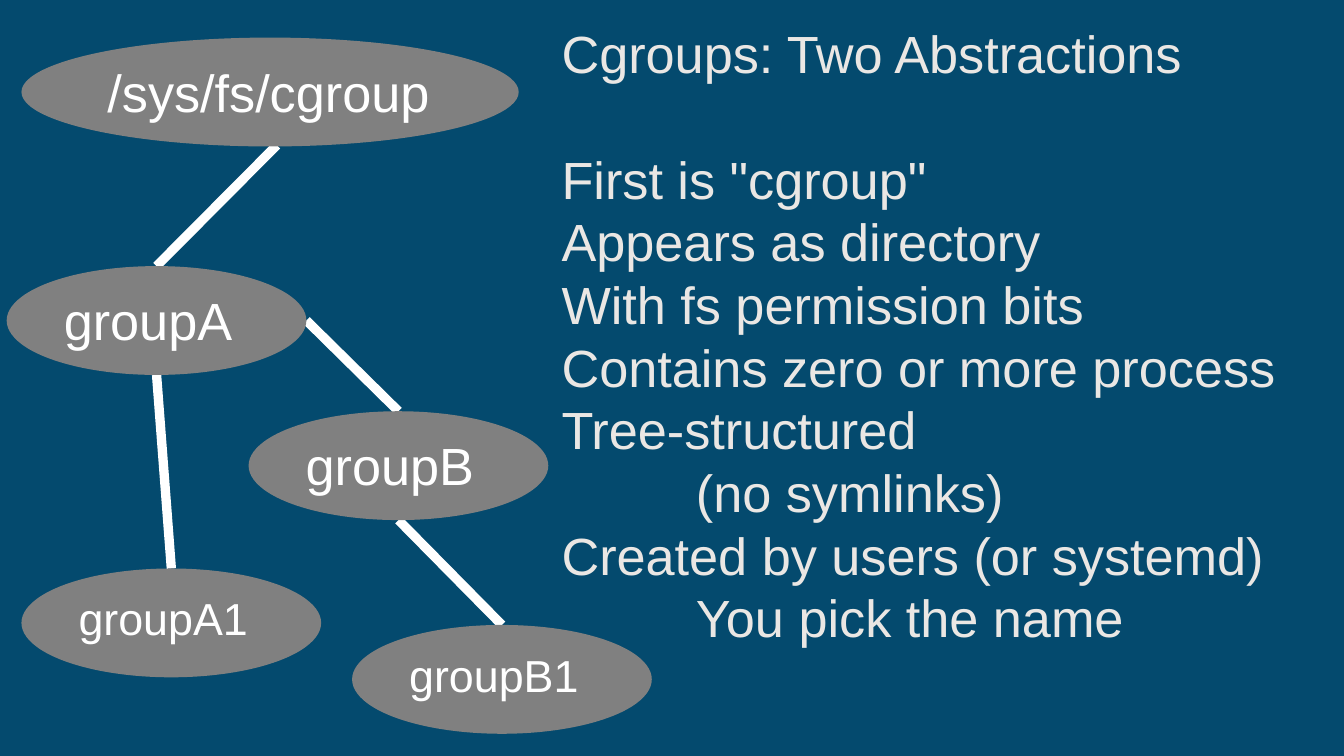
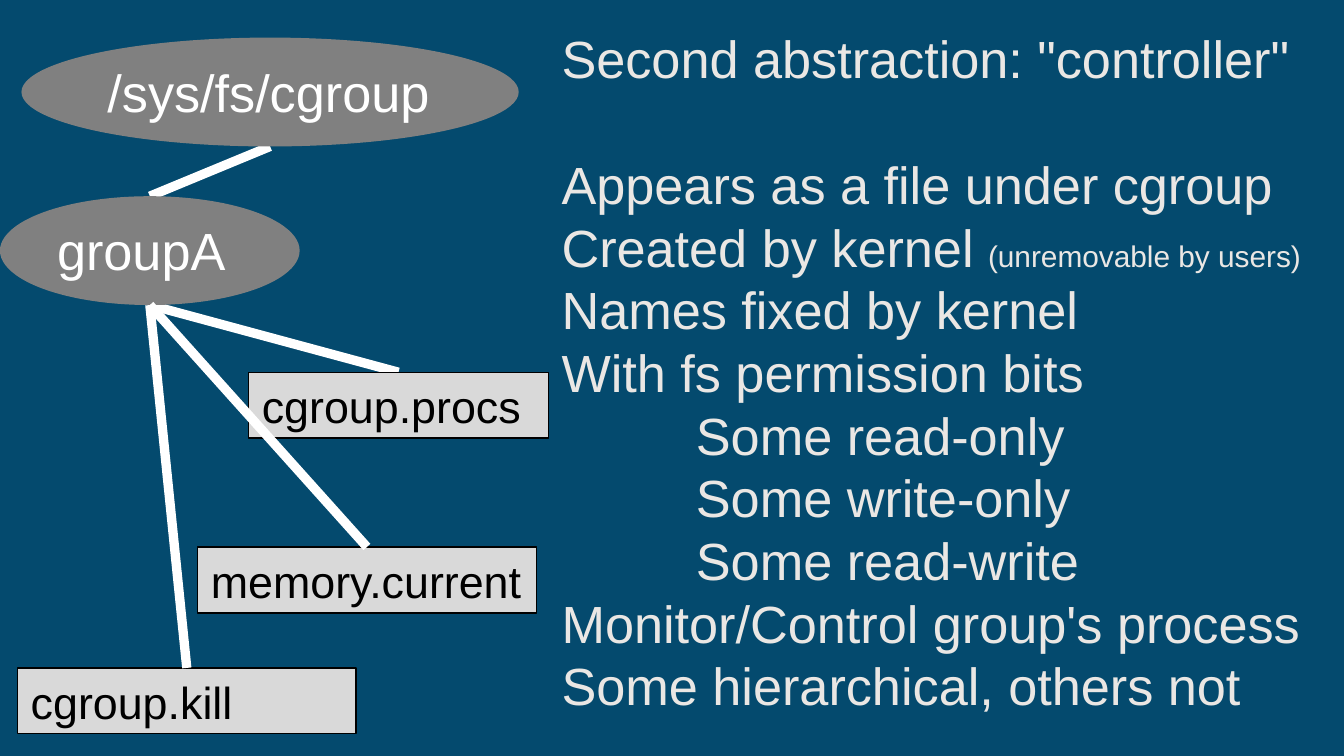
from pptx import Presentation
from pptx.dml.color import RGBColor
from pptx.enum.shapes import MSO_CONNECTOR, MSO_SHAPE
from pptx.enum.text import MSO_ANCHOR, PP_ALIGN
from pptx.util import Inches, Pt
from lxml import etree

OVAL, RECT = MSO_SHAPE.OVAL, MSO_SHAPE.RECTANGLE
LINE = MSO_CONNECTOR.STRAIGHT
TOP, LEFT = MSO_ANCHOR.TOP, PP_ALIGN.LEFT
NS = "http://schemas.openxmlformats.org/drawingml/2006/main"
NAVY, GRAY, PALE = "044A6E", "808080", "D9D9D9"
WHITE, BLACK, CREAM = "FFFFFF", "000000", "EAE7E4"
FONT, BIG, MID, SMALL = "Arial", 28, 24, 16
LEAD = 1.2
ROOT = (0.16, 0.28, 3.7, 0.81)


def color(code):
    return RGBColor.from_string(code)


def oval(x, y):
    return x, y, 2.23, 0.81


def top(box):
    x, y, w, h = box
    return x + w / 2, y


def base(box):
    x, y, w, h = box
    return x + w / 2, y + h


def right(box):
    x, y, w, h = box
    return x + w, y + h / 2


class Deck:
    """Hold the deck style and the current slide."""

    def __init__(self):
        self.prs = Presentation()
        self.prs.slide_width = Inches(10)
        self.prs.slide_height = Inches(10 * 9 / 16)

    def page(self):
        self.slide = self.prs.slides.add_slide(self.prs.slide_layouts[6])
        fill = self.slide.background.fill
        fill.solid()
        fill.fore_color.rgb = color(NAVY)

    def run(self, para, text, size, ink):
        run = para.add_run()
        run.text = text
        run.font.name = FONT
        run.font.size = Pt(size)
        run.font.color.rgb = color(ink)

    def node(self, box, text, size=BIG, kind=OVAL, fill=GRAY, ink=WHITE):
        shape = self.slide.shapes.add_shape(kind, *map(Inches, box))
        shape.shadow.inherit = False
        shape.fill.solid()
        shape.fill.fore_color.rgb = color(fill)
        shape.line.fill.background()
        frame = shape.text_frame
        frame.word_wrap = True
        frame.vertical_anchor = TOP
        para = frame.paragraphs[0]
        para.alignment = LEFT
        para.line_spacing = Pt(size * LEAD)
        self.run(para, text, size, ink)
        return shape

    def file(self, box, text):
        shape = self.node(box, text, MID, RECT, PALE, BLACK)
        shape.line.color.rgb = color(BLACK)
        shape.line.width = Pt(0.75)

    def link(self, start, end):
        line = self.slide.shapes.add_connector(LINE, *map(Inches, start + end))
        line.line.color.rgb = color(WHITE)
        line.line.width = Pt(5)
        etree.SubElement(line._element.spPr, f"{{{NS}}}effectLst")

    def notes(self, box, title, rows):
        frame = self.slide.shapes.add_textbox(*map(Inches, box)).text_frame
        frame.word_wrap = True
        for i, (depth, *parts) in enumerate([(0, title)] + rows):
            para = frame.add_paragraph() if i else frame.paragraphs[0]
            para.line_spacing = Pt(BIG * LEAD)
            if i == 0:
                para.space_after = Pt(BIG * LEAD)
            if depth:
                para._p.get_or_add_pPr().set("marL", str(Inches(depth)))
            for part, size in zip(parts, (BIG, SMALL)):
                self.run(para, part, size, CREAM)


def groups(deck):
    deck.page()
    a, b = oval(0.05, 1.98), oval(1.85, 3.06)
    a1, b1 = oval(0.16, 4.23), oval(2.62, 4.65)
    deck.link(top(a), (2.06, 1.08))
    deck.link(base(a), top(a1))
    deck.link(right(a), top(b))
    deck.link(base(b), top(b1))
    deck.node(b, "groupB")
    deck.node(ROOT, "/sys/fs/cgroup")
    deck.notes((4.08, 0.11, 5.75, 5.28), "Cgroups: Two Abstractions", [
        (0, 'First is "cgroup"'),
        (0, "Appears as directory"),
        (0, "With fs permission bits"),
        (0, "Contains zero or more process"),
        (0, "Tree-structured"),
        (1, "(no symlinks)"),
        (0, "Created by users (or systemd)"),
        (1, "You pick the name"),
    ])
    deck.node(a, "groupA")
    deck.node(a1, "groupA1", MID)
    deck.node(b1, "groupB1", MID)


def files(deck):
    deck.page()
    a = oval(0, 1.46)
    procs = (1.85, 2.77, 2.23, 0.49)
    mem = (1.47, 4.07, 2.52, 0.49)
    kill = (0.13, 4.97, 2.52, 0.49)
    deck.link(base(a), top(procs))
    deck.link(top(a), base(ROOT))
    deck.node(ROOT, "/sys/fs/cgroup")
    deck.notes((4.08, 0.15, 5.75, 5.76), 'Second abstraction: "controller"', [
        (0, "Appears as a file under cgroup"),
        (0, "Created by kernel ", "(unremovable by users)"),
        (0, "Names fixed by kernel"),
        (0, "With fs permission bits"),
        (1, "Some read-only"),
        (1, "Some write-only"),
        (1, "Some read-write"),
        (0, "Monitor/Control group's process"),
        (0, "Some hierarchical, others not"),
    ])
    deck.node(a, "groupA")
    deck.file(procs, "cgroup.procs")
    deck.file(mem, "memory.current")
    deck.link(base(a), top(mem))
    deck.file(kill, "cgroup.kill")
    deck.link(base(a), top(kill))


def main():
    deck = Deck()
    groups(deck)
    files(deck)
    deck.prs.save("out.pptx")


if __name__ == "__main__":
    main()
